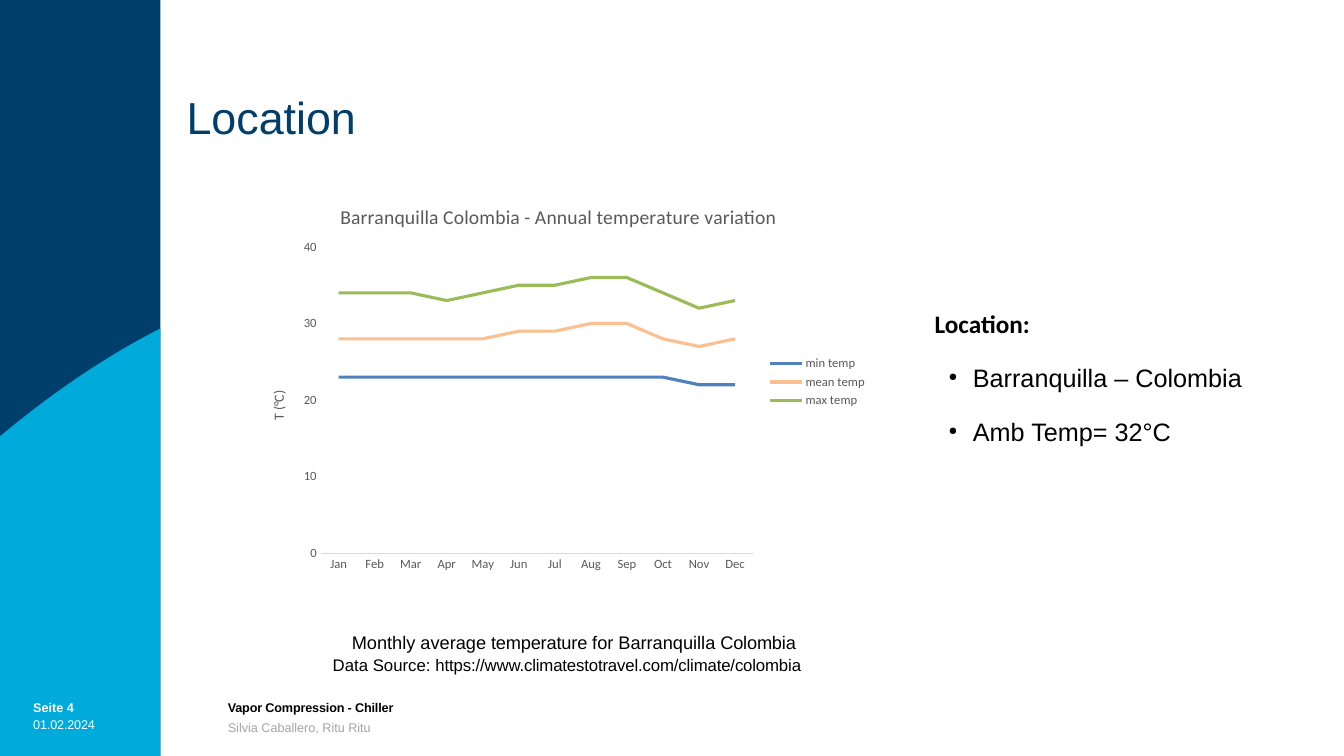
from dataclasses import dataclass

from lxml import etree
from pptx import Presentation
from pptx import util as u
from pptx.chart.data import CategoryChartData
from pptx.dml.color import RGBColor
from pptx.enum import chart as ch
from pptx.enum import shapes
from pptx.oxml import parse_xml
from pptx.oxml.ns import nsdecls, qn


@dataclass(frozen=True)
class Theme:
    navy: str = "003F6B"
    sky: str = "00AADA"
    ink: str = "000000"
    white: str = "FFFFFF"
    pale: str = "A5A5A5"
    grey: str = "595959"
    rule: str = "D9D9D9"
    lines: tuple = ("4F81BD", "FAC090", "9BBB59")
    sans: str = "Arial"
    alt: str = "Calibri"
    head: int = 32
    body: int = 18
    note: int = 13
    link: int = 12
    foot: int = 9
    title: int = 14
    axis: int = 10
    tick: int = 9


def rgb(code):
    return RGBColor.from_string(code)


def style(font, size, color, name, bold=False):
    look = {"size": u.Pt(size), "name": name, "bold": bold}
    for key, val in look.items():
        setattr(font, key, val)
    font.color.rgb = rgb(color)


def layout(spots, inner=False):
    """Manual chart layout from fractions in the order x, y, w, h."""
    target = '<c:layoutTarget val="inner"/>' if inner else ""
    parts = "".join(f'<c:{k} val="{v}"/>' for k, v in zip("xywh", spots))
    return parse_xml(
        f'<c:layout {nsdecls("c")}><c:manualLayout>{target}<c:xMode val="edge"/>'
        f'<c:yMode val="edge"/>{parts}</c:manualLayout></c:layout>')


class Page:
    def __init__(self, slide, theme):
        self.slide, self.theme = slide, theme

    def paint(self, shape, color):
        shape.shadow.inherit = False
        shape.fill.solid()
        shape.fill.fore_color.rgb = rgb(color)
        shape.line.fill.background()

    def rect(self, box, color):
        kind = shapes.MSO_SHAPE.RECTANGLE
        self.paint(self.slide.shapes.add_shape(kind, *map(u.Inches, box)), color)

    def outline(self, points, color):
        points = [(u.Inches(x), u.Inches(y)) for x, y in points]
        form = self.slide.shapes.build_freeform(*points[0])
        form.add_line_segments(points[1:])
        self.paint(form.convert_to_shape(), color)

    def text(self, box, paras, inset=(0.02, 0, 0, 0)):
        """Each paragraph is a dict: runs as (words, tracking), size, and optional format."""
        frame = self.slide.shapes.add_textbox(*map(u.Inches, box)).text_frame
        frame.word_wrap = True
        for side, gap in zip(("left", "top", "right", "bottom"), inset):
            setattr(frame, "margin_" + side, u.Inches(gap))
        for i, item in enumerate(paras):
            para = frame.add_paragraph() if i else frame.paragraphs[0]
            if item.get("bullet"):
                self.bullet(para)
            for key, name in (("before", "space_before"), ("line", "line_spacing")):
                if key in item:
                    setattr(para, name, u.Pt(item[key]))
            for words, track in item["runs"]:
                run = para.add_run()
                run.text = words
                style(run.font, item["size"], item.get("color", self.theme.ink),
                      item.get("font", self.theme.sans), item.get("bold", False))
                if track:
                    run.font._element.set("spc", str(track))

    def bullet(self, para):
        props = para._p.get_or_add_pPr()
        props.set("marL", str(u.Inches(0.38)))
        props.set("indent", str(u.Inches(-0.24)))
        etree.SubElement(props, qn("a:buSzPct")).set("val", "44000")
        etree.SubElement(props, qn("a:buChar")).set("char", "●")

    def label(self, owner, words, size):
        frame = owner.text_frame
        frame.text = words
        style(frame.paragraphs[0].runs[0].font, size, self.theme.grey, self.theme.alt)

    def chart(self, box, title, unit, cats, rows, spot, plot):
        """Draw a line chart; spot and plot place title and plot area, in inches."""
        t = self.theme
        data = CategoryChartData()
        data.categories = cats
        for name, vals in rows.items():
            data.add_series(name, vals)
        chart = self.slide.shapes.add_chart(
            ch.XL_CHART_TYPE.LINE, *map(u.Inches, box), data).chart
        style(chart.font, t.axis, t.ink, t.alt)
        chart.has_title = chart.has_legend = True
        self.label(chart.chart_title, title, t.title)
        chart.chart_title.include_in_layout = False
        chart.legend.position = ch.XL_LEGEND_POSITION.RIGHT
        chart.legend.include_in_layout = False
        style(chart.legend.font, t.tick, t.grey, t.alt)

        cat, val = chart.category_axis, chart.value_axis
        for axis in (cat, val):
            axis.has_major_gridlines = False
            axis.major_tick_mark = axis.minor_tick_mark = ch.XL_TICK_MARK.NONE
            style(axis.tick_labels.font, t.tick, t.grey, t.alt)
        cat.format.line.color.rgb = rgb(t.rule)
        cat.format.line.width = u.Pt(0.75)
        val.format.line.fill.background()
        limits = {"minimum_scale": 0, "maximum_scale": 40, "major_unit": 10}
        for key, num in limits.items():
            setattr(val, key, num)
        val.has_title = True
        self.label(val.axis_title, unit, t.axis)

        chart.plots[0].vary_by_categories = False
        for row, color in zip(chart.plots[0].series, t.lines):
            row.smooth = False
            row.marker.style = ch.XL_MARKER_STYLE.NONE
            row.format.line.color.rgb = rgb(color)
            row.format.line.width = u.Pt(2.25)

        size = box[2:] * 2
        body = chart._chartSpace.chart
        for part, place, at in ((body.plotArea, plot, 0), (body.find(qn("c:title")), spot, 1)):
            for old in part.findall(qn("c:layout")):
                part.remove(old)
            shares = [p / s for p, s in zip(place, size)]
            part.insert(at, layout(shares, inner=part is body.plotArea))


def main():
    deck = Presentation()
    deck.slide_width, deck.slide_height = u.Inches(13.33), u.Inches(7.5)
    t = Theme()
    page = Page(deck.slides.add_slide(deck.slide_layouts[6]), t)

    wide, high, steps = 1.59, 7.5, 32
    page.rect((0, 0, wide, high), t.navy)
    curve = [(wide * (1 - s), 3.26 + 0.81 * s + 0.26 * s * s)
             for s in (i / steps for i in range(steps + 1))]
    page.outline(curve + [(0, high), (wide, high)], t.sky)

    page.text((1.83, 0.33, 11.25, 1.11),
              [{"runs": [("Location", 0)], "size": t.head, "color": t.navy}],
              (0.02, 0.58, 0, 0))
    page.chart(
        (2.46, 1.83, 6.24, 3.92),
        "Barranquilla Colombia - Annual temperature variation", "T (°C)",
        "Jan Feb Mar Apr May Jun Jul Aug Sep Oct Nov Dec".split(),
        {"min temp": [23] * 10 + [22] * 2,
         "mean temp": [28] * 5 + [29, 29, 30, 30, 28, 27, 28],
         "max temp": [34, 34, 34, 33, 34, 35, 35, 36, 36, 34, 32, 33]},
        (0.88, 0.15), (0.72, 0.62, 4.29, 3.04))
    page.text((3.48, 6.27, 5.22, 0.21),
              [{"runs": [("Monthly average ", 0), ("temperature ", -10),
                         ("for Barranquilla ", 0), ("Colombia", -10)],
                "size": t.note, "line": 15.4}], (0.01, 0, 0, 0))
    page.text((3.28, 6.48, 5.42, 0.23),
              [{"runs": [("Data Source: ", 0),
                         ("https://www.climatestotravel.com/climate/colombia", -10)],
                "size": t.link}], (0.02, 0.02, 0, 0))

    point = {"size": t.body, "before": 17, "bullet": True}
    page.text((9.18, 3.01, 3.67, 1.49),
              [{"runs": [("Location:", 0)], "size": t.body, "font": t.alt, "bold": True},
               {"runs": [("Barranquilla – Colombia", 0)], **point},
               {"runs": [("Amb Temp= 32°C", 0)], **point}], (0.09, 0.05, 0.09, 0.05))

    feet = (
        ((0.31, 6.94, 0.9, 0.34), [("Seite ", 0), ("4", -50)], t.white,
         [("01.02.2024", -10)], t.white, 1.6),
        ((2.24, 6.94, 2.56, 0.37), [("Vapor Compression - Chiller", -10)], t.ink,
         [("Silvia Caballero, Ritu Ritu", 0)], t.pale, 3.5))
    for box, top, shade, low, tint, gap in feet:
        page.text(box, [
            {"runs": top, "size": t.foot, "color": shade, "bold": True},
            {"runs": low, "size": t.foot, "color": tint, "before": gap}])

    deck.save("out.pptx")


if __name__ == "__main__":
    main()
